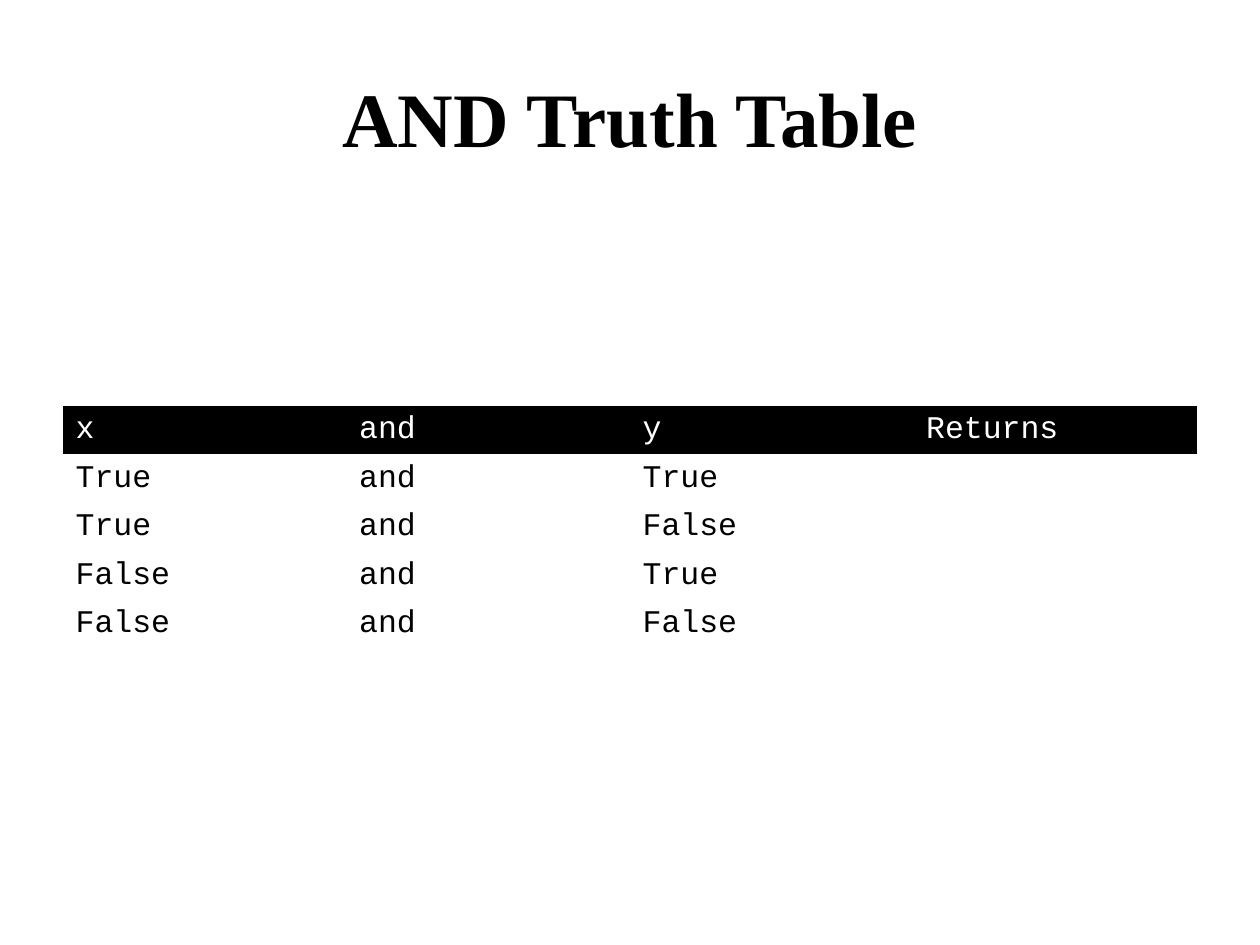
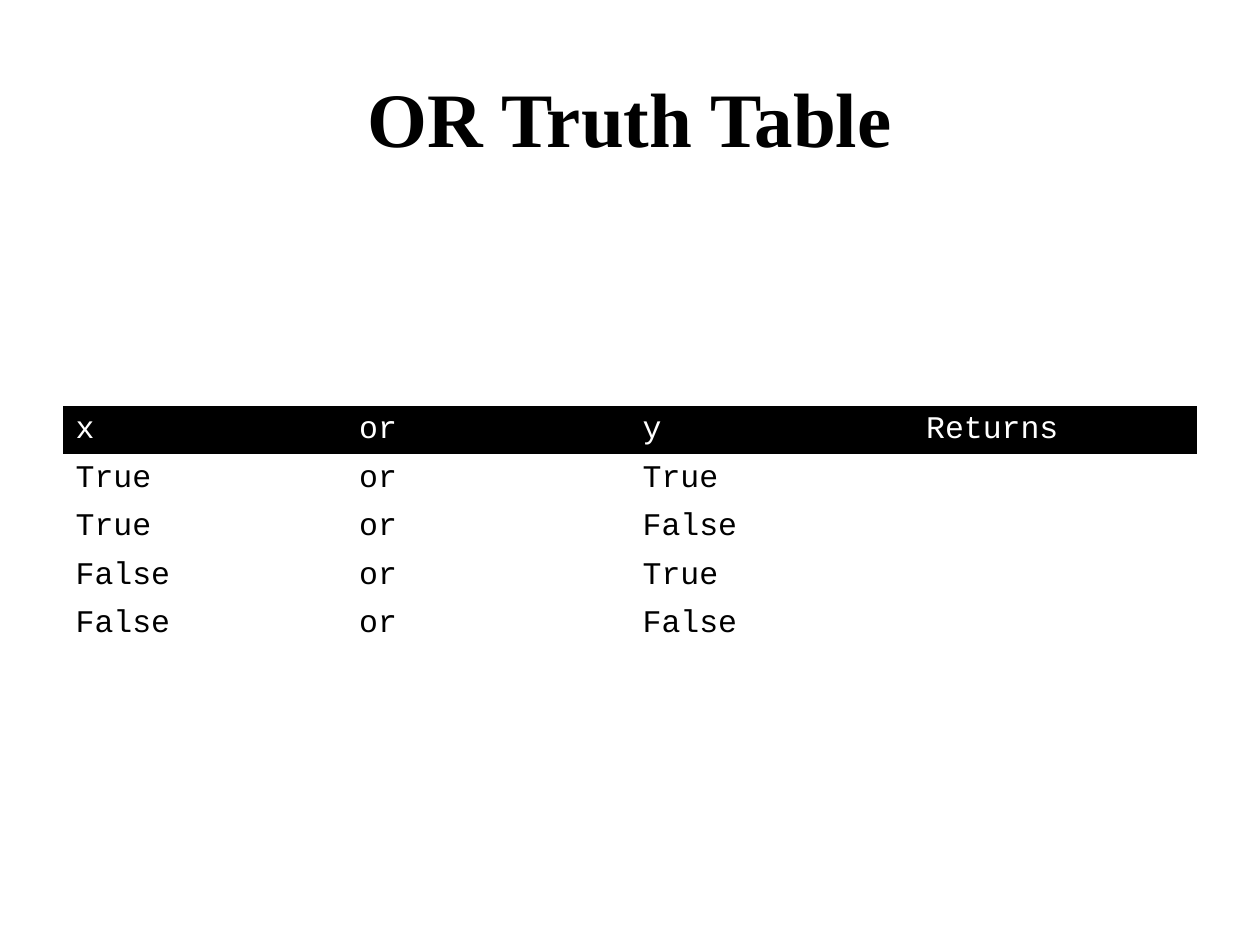
"""Build two slides with the truth tables of the Boolean operators."""
from dataclasses import dataclass
from itertools import product

from pptx import Presentation
from pptx.dml.color import RGBColor
from pptx.enum.text import MSO_ANCHOR as Anchor, PP_ALIGN as Align
from pptx.oxml.ns import qn
from pptx.slide import Slide
from pptx.text.text import TextFrame
from pptx.util import Cm, Pt

BLACK = RGBColor(0x00, 0x00, 0x00)
WHITE = RGBColor(0xFF, 0xFF, 0xFF)
TITLE_FONT = "Times New Roman"
CODE_FONT = "Courier New"
PLAIN_TABLE_STYLE = "{2D5ABB26-0587-4C30-8999-92F81FD0307C}"

PAGE_WIDTH, PAGE_HEIGHT = Cm(25.4), Cm(19.05)
MARGIN = Cm(1.27)
CONTENT_WIDTH = PAGE_WIDTH - 2 * MARGIN
TITLE_TOP, TITLE_HEIGHT = Cm(0.76), Cm(3.18)
TABLE_TOP, ROW_HEIGHT = Cm(8.18), Cm(0.98)
CELL_PADDING = Cm(0.08)


@dataclass(frozen=True)
class TruthTable:
    """A Boolean operator whose results are left for the reader."""
    operator: str

    @property
    def title(self) -> str:
        """Return the slide title."""
        return f"{self.operator.upper()} Truth Table"

    @property
    def rows(self) -> list[tuple[str, str, str, str]]:
        """Return the header and one row for each pair of operands."""
        pairs = product(("True", "False"), repeat=2)
        return [("x", self.operator, "y", "Returns"),
                *((x, self.operator, y, "") for x, y in pairs)]


def write(frame: TextFrame, text: str, *, font: str, size: int,
          color: RGBColor = BLACK, bold: bool = False,
          align: Align = Align.LEFT) -> None:
    """Write one formatted paragraph into a text frame."""
    para = frame.paragraphs[0]
    para.alignment = align
    span = para.add_run()
    span.text = text
    span.font.name = font
    span.font.size = Pt(size)
    span.font.bold = bold
    span.font.color.rgb = color


def draw_title(page: Slide, title: str) -> None:
    """Draw the centred slide title."""
    box = page.shapes.add_textbox(MARGIN, TITLE_TOP, CONTENT_WIDTH, TITLE_HEIGHT)
    frame = box.text_frame
    frame.word_wrap = True
    frame.vertical_anchor = Anchor.MIDDLE
    write(frame, title, font=TITLE_FONT, size=44, bold=True, align=Align.CENTER)


def draw_table(page: Slide, rows: list[tuple[str, str, str, str]]) -> None:
    """Draw the rows under a black header."""
    holder = page.shapes.add_table(len(rows), len(rows[0]), MARGIN, TABLE_TOP,
                                   CONTENT_WIDTH, ROW_HEIGHT * len(rows))
    table = holder.table
    table.horz_banding = False
    for style in holder.element.iter(qn("a:tableStyleId")):
        style.text = PLAIN_TABLE_STYLE
    for row_index, row in enumerate(rows):
        is_header = row_index == 0
        for column_index, text in enumerate(row):
            cell = table.cell(row_index, column_index)
            cell.vertical_anchor = Anchor.MIDDLE
            cell.margin_top = cell.margin_bottom = CELL_PADDING
            if is_header:
                cell.fill.solid()
                cell.fill.fore_color.rgb = BLACK
            else:
                cell.fill.background()
            if text:
                write(cell.text_frame, text, font=CODE_FONT, size=18,
                      color=WHITE if is_header else BLACK)


def main() -> None:
    """Build and save the deck."""
    deck = Presentation()
    deck.slide_width, deck.slide_height = PAGE_WIDTH, PAGE_HEIGHT
    for truth_table in (TruthTable("and"), TruthTable("or")):
        page = deck.slides.add_slide(deck.slide_layouts[6])
        draw_title(page, truth_table.title)
        draw_table(page, truth_table.rows)
    deck.save("out.pptx")


if __name__ == "__main__":
    main()
